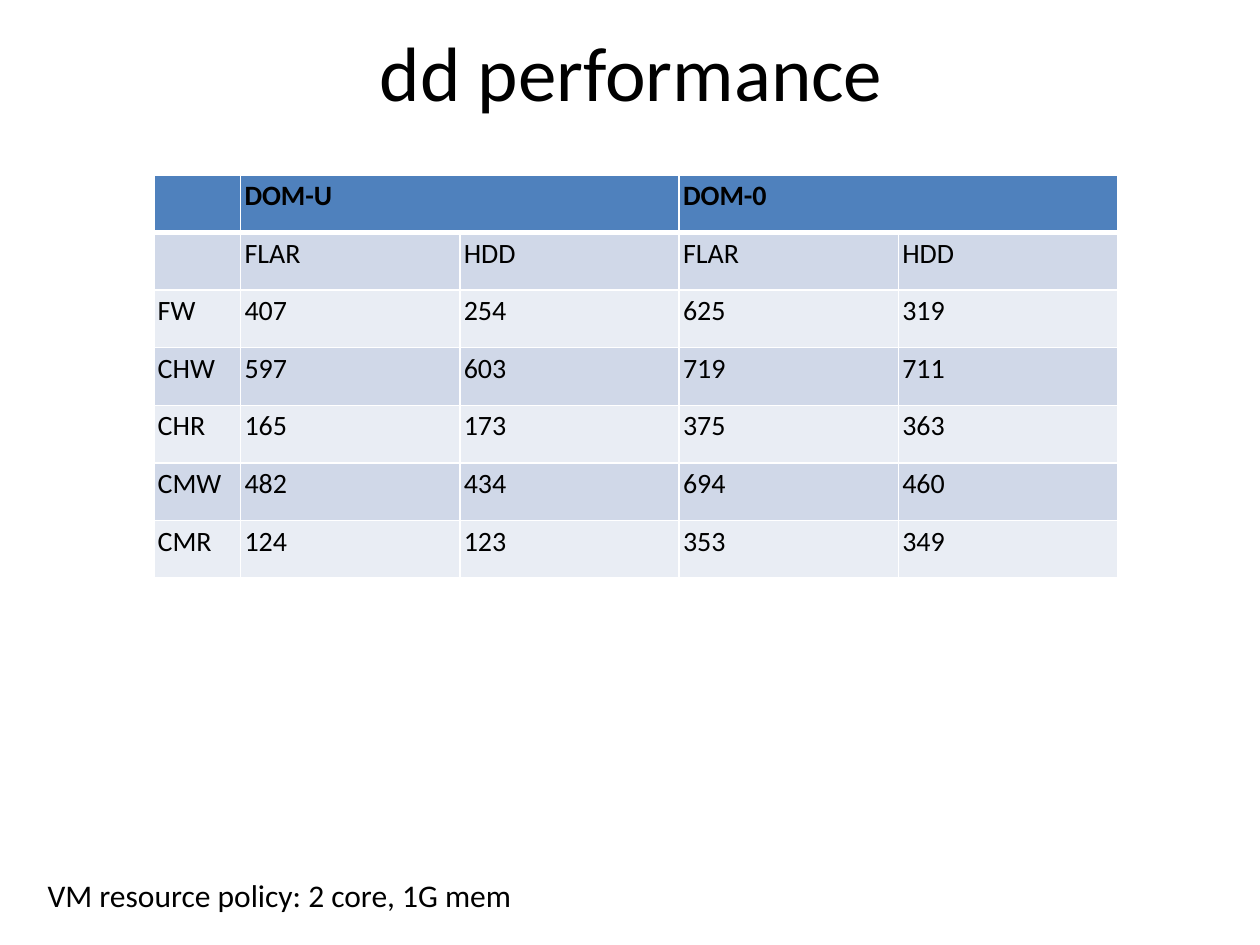
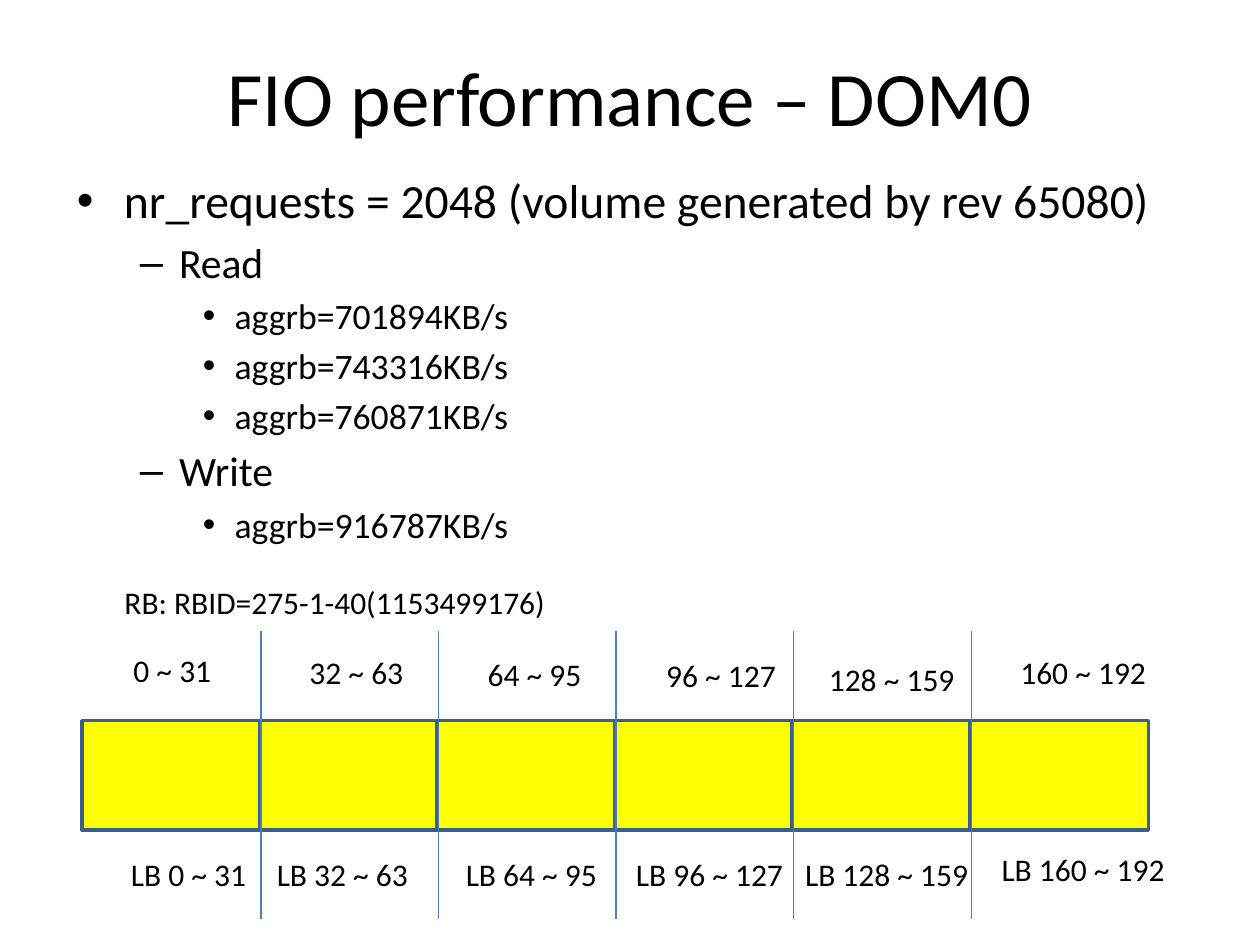
from lxml.etree import SubElement
from pptx import Presentation
from pptx.dml.color import RGBColor
from pptx.enum.shapes import MSO_CONNECTOR as Connector, MSO_SHAPE as Shape
from pptx.enum.text import MSO_ANCHOR as Anchor, PP_ALIGN as Align
from pptx.oxml.ns import qn
from pptx.util import Cm, Pt

FONT = "Calibri"
BLACK, WHITE = "000000", "FFFFFF"
HEADER_FILL, BAND_FILLS = "4F81BD", ("E9EDF4", "D0D8E8")
BLOCK_FILL, BLOCK_LINE, DIVIDER = "FFFF00", "3A5F8C", "4B7EBC"
BLOCK_LEFT, BLOCK_PITCH, BLOCK_COUNT = 1.65, 3.58, 6

PERFORMANCE = [
    ["", "DOM-U", "", "DOM-0", ""],
    ["", "FLAR", "HDD", "FLAR", "HDD"],
    ["FW", "407", "254", "625", "319"],
    ["CHW", "597", "603", "719", "711"],
    ["CHR", "165", "173", "375", "363"],
    ["CMW", "482", "434", "694", "460"],
    ["CMR", "124", "123", "353", "349"],
]

LEVEL_STYLES = [("•", 27.2, 0.95, 0.95), ("–", 23.8, 2.06, 0.79), ("•", 20.4, 3.18, 0.64)]
RESULTS = [
    (0, "nr_requests = 2048 (volume generated by rev 65080)"),
    (1, "Read"),
    (2, "aggrb=701894KB/s"),
    (2, "aggrb=743316KB/s"),
    (2, "aggrb=760871KB/s"),
    (1, "Write"),
    (2, "aggrb=916787KB/s"),
]

BLOCK_LABELS = [
    ("0 ~ 31", (2.44, 13.0), (2.39, 17.12)),
    ("32 ~ 63", (5.99, 13.03), (5.33, 17.12)),
    ("64 ~ 95", (9.58, 13.08), (9.14, 17.12)),
    ("96 ~ 127", (13.18, 13.11), (12.57, 17.12)),
    ("128 ~ 159", (16.46, 13.18), (15.98, 17.12)),
    ("160 ~ 192", (20.32, 13.03), (19.94, 17.02)),
]


def color(hex_string):
    """Turn a hex string into a colour."""
    return RGBColor.from_string(hex_string)


def style_font(paragraph, size, bold=False):
    """Set the shared font on a whole paragraph."""
    font = paragraph.font
    font.name, font.size, font.bold = FONT, Pt(size), bold
    font.color.rgb = color(BLACK)


def add_text_frame(slide, left, top, width, height, wrap=True):
    """Add a text box and return its text frame."""
    box = slide.shapes.add_textbox(Cm(left), Cm(top), Cm(width), Cm(height))
    box.text_frame.word_wrap = wrap
    return box.text_frame


def add_title(slide, text, left, top, height):
    """Add a centred slide title."""
    frame = add_text_frame(slide, left, top, 22.86, height)
    frame.vertical_anchor = Anchor.MIDDLE
    paragraph = frame.paragraphs[0]
    paragraph.text, paragraph.alignment = text, Align.CENTER
    style_font(paragraph, 44)


def add_label(slide, text, left, top, width):
    """Add a one-line label."""
    paragraph = add_text_frame(slide, left, top, width, 1.02, wrap=False).paragraphs[0]
    paragraph.text = text
    style_font(paragraph, 18)


def add_bullets(slide, items, left, top, width, height):
    """Add a bulleted list of (level, text) items."""
    frame = add_text_frame(slide, left, top, width, height)
    for index, (level, text) in enumerate(items):
        paragraph = frame.add_paragraph() if index else frame.paragraphs[0]
        bullet, size, margin, hanging = LEVEL_STYLES[level]
        paragraph.text, paragraph.level = text, level
        properties = paragraph._p.get_or_add_pPr()
        properties.set("marL", str(Cm(margin)))
        properties.set("indent", str(-Cm(hanging)))
        SubElement(properties, qn("a:buFont"), typeface="Arial")
        SubElement(properties, qn("a:buChar"), char=bullet)
        paragraph.space_before = Pt(round(size * 0.2, 1))
        style_font(paragraph, size)


def set_borders(cell, top_width, bottom_width):
    """Draw white borders around a table cell."""
    properties = cell._tc.get_or_add_tcPr()
    for side, width in (("L", 1), ("R", 1), ("T", top_width), ("B", bottom_width)):
        line = SubElement(properties, qn(f"a:ln{side}"), w=str(Pt(width)))
        fill = SubElement(line, qn("a:solidFill"))
        SubElement(fill, qn("a:srgbClr"), val=WHITE)


def add_performance_table(slide, rows, left, top):
    """Add the banded table with its two merged headings."""
    widths, row_height = [1.75] + [4.42] * 4, 1.16
    table = slide.shapes.add_table(
        len(rows), len(widths), Cm(left), Cm(top), Cm(sum(widths)), Cm(row_height * len(rows))
    ).table
    table.first_row = table.horz_banding = False
    for column, width in zip(table.columns, widths):
        column.width = Cm(width)
    for row_index, row in enumerate(rows):
        table.rows[row_index].height = Cm(row_height)
        for column_index, text in enumerate(row):
            cell = table.cell(row_index, column_index)
            set_borders(cell, 3 if row_index == 1 else 1, 3 if row_index == 0 else 1)
            cell.fill.solid()
            cell.fill.fore_color.rgb = color(BAND_FILLS[row_index % 2] if row_index else HEADER_FILL)
            cell.margin_left = cell.margin_right = cell.margin_top = cell.margin_bottom = Cm(0.08)
            cell.text = text
            style_font(cell.text_frame.paragraphs[0], 16, bold=row_index == 0)
    for column_index in (1, 3):
        table.cell(0, column_index).merge(table.cell(0, column_index + 1))


def add_block(slide, left):
    """Add one yellow storage block."""
    block = slide.shapes.add_shape(Shape.RECTANGLE, Cm(left), Cm(14.53), Cm(3.6), Cm(2.2))
    block.shadow.inherit = False
    block.fill.solid()
    block.fill.fore_color.rgb = color(BLOCK_FILL)
    block.line.color.rgb = color(BLOCK_LINE)
    block.line.width = Pt(2)


def add_divider(slide, x):
    """Add a vertical line between two blocks."""
    line = slide.shapes.add_connector(Connector.STRAIGHT, Cm(x), Cm(12.73), Cm(x), Cm(18.52))
    line.line.color.rgb = color(DIVIDER)
    line.line.width = Pt(0.75)
    SubElement(line._element.spPr, qn("a:effectLst"))


def add_block_diagram(slide):
    """Add the row of blocks with dividers and range labels."""
    lefts = [BLOCK_LEFT + BLOCK_PITCH * index for index in range(BLOCK_COUNT)]
    for left in lefts:
        add_block(slide, left)
    for left in lefts[1:]:
        add_divider(slide, left + 0.03)
    add_label(slide, "RB: RBID=275-1-40(1153499176)", 2.26, 11.63, 9.09)
    for text, upper, lower in BLOCK_LABELS:
        width = 0.32 * len(text) + 0.2
        add_label(slide, text, *upper, width)
        add_label(slide, f"LB {text}", *lower, width + 0.76)


def build_dd_slide(slide):
    """Build the dd results slide."""
    add_title(slide, "dd performance", 1.3, 0.33, 2.21)
    add_label(slide, "VM resource policy: 2 core, 1G mem", 0.71, 17.53, 9.98)
    add_performance_table(slide, PERFORMANCE, 3.1, 3.53)


def build_fio_slide(slide):
    """Build the FIO results slide."""
    add_title(slide, "FIO performance – DOM0", 1.27, 0.76, 2.36)
    add_bullets(slide, RESULTS, 1.3, 3.33, 22.48, 7.01)
    add_block_diagram(slide)


def main():
    """Build and save the presentation."""
    presentation = Presentation()
    presentation.slide_width, presentation.slide_height = Cm(25.4), Cm(19.05)
    for build in (build_dd_slide, build_fio_slide):
        build(presentation.slides.add_slide(presentation.slide_layouts[6]))
    presentation.save("out.pptx")


main()
